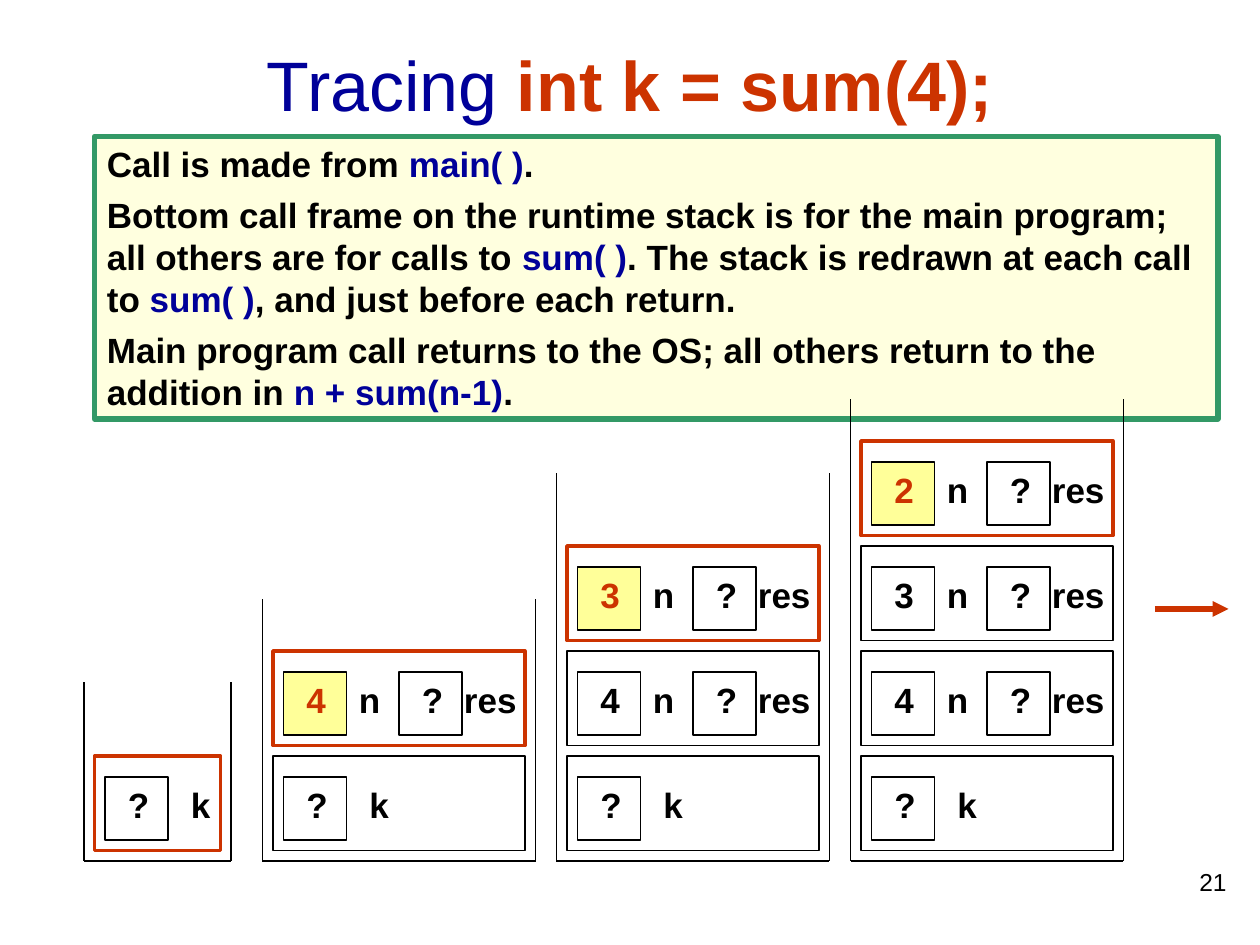
"""Slide that traces the call stack of a recursive sum on a 120 by 90 grid."""
from lxml.etree import SubElement
from pptx import Presentation
from pptx.dml.color import RGBColor
from pptx.enum.shapes import MSO_CONNECTOR, MSO_SHAPE
from pptx.enum.text import MSO_ANCHOR, PP_ALIGN
from pptx.oxml.ns import qn
from pptx.util import Inches, Pt

BLACK = RGBColor(0x00, 0x00, 0x00)
NAVY = RGBColor(0x00, 0x00, 0x99)
RED = RGBColor(0xCC, 0x33, 0x00)
GREEN = RGBColor(0x33, 0x99, 0x66)
CREAM = RGBColor(0xFF, 0xFF, 0xDF)
YELLOW = RGBColor(0xFF, 0xFF, 0x99)

prs = Presentation()
prs.slide_width, prs.slide_height = Inches(10), Inches(7.5)
s = prs.slides.add_slide(prs.slide_layouts[6])
U = prs.slide_width // 120


def add_box(at, color, width, fill=None):
    sp = s.shapes.add_shape(MSO_SHAPE.RECTANGLE, *(int(v * U) for v in at))
    sp.shadow.inherit = False
    sp.line.color.rgb, sp.line.width = color, Pt(width)
    if fill is None:
        sp.fill.background()
    else:
        sp.fill.solid()
        sp.fill.fore_color.rgb = fill
    return sp


def add_text(at, paras, sp=None, size=20, bold=True, before=12.5,
             align=PP_ALIGN.LEFT, anchor=MSO_ANCHOR.TOP):
    sp = sp or s.shapes.add_textbox(*(int(v * U) for v in at))
    tf = sp.text_frame
    tf.word_wrap, tf.vertical_anchor = True, anchor
    for i, runs in enumerate(paras):
        p = tf.add_paragraph() if i else tf.paragraphs[0]
        p.alignment, p.space_before = align, Pt(before)
        for text, color, *weight in runs:
            r = p.add_run()
            r.text = text
            r.font.color.rgb = color
            fmt = {"name": "Arial", "size": Pt(size), "bold": weight[0] if weight else bold}
            for key, value in fmt.items():
                setattr(r.font, key, value)


add_text((9, 2, 102, 12), [[("Tracing ", NAVY, False), ("int k = sum(4);", RED)]],
         size=40, before=0, align=PP_ALIGN.CENTER, anchor=MSO_ANCHOR.MIDDLE)

notes = [
    [("Call is made from ", BLACK), ("main( )", NAVY), (".", BLACK)],
    [("Bottom call frame on the runtime stack is for the main program; "
      "all others are for calls to ", BLACK), ("sum( )", NAVY),
     (". The stack is redrawn at each call to ", BLACK), ("sum( )", NAVY),
     (", and just before each return.", BLACK)],
    [("Main program call returns to the OS; all others return to the addition in ", BLACK),
     ("n + sum(n-1)", NAVY), (".", BLACK)],
]
panel = (9, 13, 107, 26.9)
add_text(panel, notes, sp=add_box(panel, GREEN, 3, CREAM), before=5)

base = 82
stacks = [(8, 14, 65, "?"), (25, 26, 57, "?4"), (53, 26, 45, "?43"), (81, 26, 38, "?432")]
lines = [(110, 58, 117, 58, RED, 3)]
for left, width, top, values in stacks:
    right = left + width
    for level, value in enumerate(values):
        row = base - 10 - 10 * level
        current = level == len(values) - 1
        active = current and level > 0
        add_box((left + 2, row + 2, 6, 6), BLACK, 0.75, YELLOW if active else None)
        labels = [(3, 4, value, RED if active else BLACK)]
        if level:
            add_box((left + 13, row + 2, 6, 6), BLACK, 0.75)
            labels += [(8, 4, "n", BLACK), (14, 4, "?", BLACK), (18, 8, "res", BLACK)]
        else:
            labels.append((9, 4, "k", BLACK))
        for dx, w, text, color in labels:
            add_text((left + dx, row + 2, w, 5.25), [[(text, color)]])
        add_box((left + 1, row, width - 2, 9), RED if current else BLACK, 2 if current else 0.75)
    lines += [(x1, base, x2, y2, BLACK, 0.75) for x1, x2, y2 in
              ((left, right, base), (left, left, top), (right, right, top))]

for x1, y1, x2, y2, color, width in lines:
    c = s.shapes.add_connector(MSO_CONNECTOR.STRAIGHT, x1 * U, y1 * U, x2 * U, y2 * U)
    c.line.color.rgb, c.line.width = color, Pt(width)
    if color == RED:
        SubElement(c.line._get_or_add_ln(), qn("a:tailEnd"), type="triangle")
    SubElement(c._element.spPr, qn("a:effectLst"))

add_text((93, 82, 25, 6), [[("21", BLACK)]], size=14, bold=False, before=0,
         align=PP_ALIGN.RIGHT)

prs.save("out.pptx")
